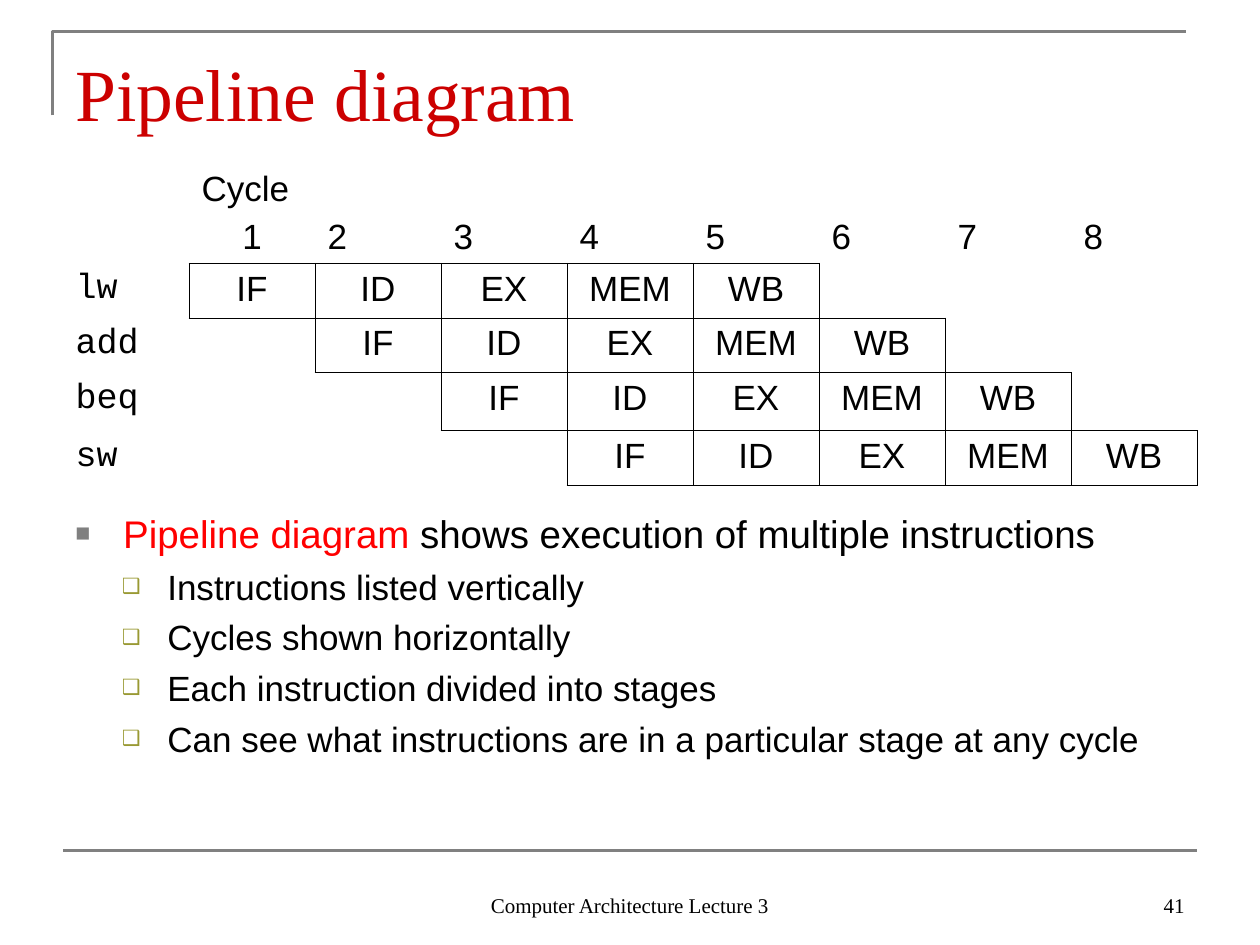
from dataclasses import dataclass
from typing import NamedTuple

from lxml import etree
from pptx import Presentation
from pptx import util as u
from pptx.dml.color import RGBColor
from pptx.enum import shapes, text
from pptx.oxml import ns


@dataclass(frozen=True)
class Theme:
    serif: str = "Times New Roman"
    sans: str = "Arial"
    mono: str = "Courier New"
    title: str = "CC0000"
    accent: str = "FF0000"
    ink: str = "000000"
    rule: str = "808080"
    sub_bullet: str = "999933"
    title_size: float = 42
    lead_size: float = 22
    body_size: float = 20
    footer_size: float = 12
    rule_width: float = 1.5
    border_width: float = 0.45


class Area(NamedTuple):
    """Left, top, width and height in grid units."""
    col: float
    row: float
    cols: float
    rows: float


class Bullet(NamedTuple):
    mark: str
    color: str
    percent: int
    left: float
    hanging: float


class Point(NamedTuple):
    bullet: Bullet
    runs: list[tuple[str, str]]
    size: float
    level: int = 0


THEME = Theme()
UNIT = u.Inches(10) // 120  # the slide is 120 columns by 90 rows
ALIGN = text.PP_ALIGN
ANCHOR = text.MSO_ANCHOR

STAGES = ["IF", "ID", "EX", "MEM", "WB"]
INSTRUCTIONS = ["lw", "add", "beq", "sw"]
CYCLES = len(STAGES) + len(INSTRUCTIONS) - 1
ROW_HEIGHTS = [0.84, 0.43, 0.43, 0.46, 0.43]
NO_STYLE = "{2D5ABB26-0587-4C30-8999-92F81FD0307C}"

LEAD = Bullet("■", THEME.rule, 65, 0.38, 0.38)
SUB = Bullet("❑", THEME.sub_bullet, 60, 0.73, 0.36)
POINTS = [Point(LEAD, [("Pipeline diagram", THEME.accent),
                       (" shows execution of multiple instructions", THEME.ink)],
                THEME.lead_size)]
POINTS += [Point(SUB, [(line, THEME.ink)], THEME.body_size, 1) for line in (
    "Instructions listed vertically",
    "Cycles shown horizontally",
    "Each instruction divided into stages",
    "Can see what instructions are in a particular stage at any cycle",
)]


def grid(value: float) -> int:
    return round(value * UNIT)


def write(paragraph, words: str, *, size: float = THEME.body_size,
          font: str = THEME.sans, color: str = THEME.ink,
          align=ALIGN.LEFT, before: float = 0) -> None:
    paragraph.alignment = align
    paragraph.space_before = u.Pt(before)
    run = paragraph.add_run()
    run.text = words
    run.font.size = u.Pt(size)
    run.font.name = font
    run.font.color.rgb = RGBColor.from_string(color)


def add_frame(slide, area: Area, anchor=ANCHOR.TOP):
    frame = slide.shapes.add_textbox(*map(grid, area)).text_frame
    frame.word_wrap = True
    frame.vertical_anchor = anchor
    return frame


def style_rule(rule) -> None:
    rule.line.color.rgb = RGBColor.from_string(THEME.rule)
    rule.line.width = u.Pt(THEME.rule_width)


def add_rules(slide) -> None:
    outline = slide.shapes.build_freeform(grid(5), grid(11))
    outline.add_line_segments([(grid(5), grid(3)), (grid(113), grid(3))], close=False)
    corner = outline.convert_to_shape()
    corner.fill.background()
    corner.shadow.inherit = False
    style_rule(corner)

    footer_rule = slide.shapes.add_connector(
        shapes.MSO_CONNECTOR.STRAIGHT, grid(6), grid(81), grid(114), grid(81))
    etree.SubElement(footer_rule._element.spPr, ns.qn("a:effectLst"))
    style_rule(footer_rule)


def add_borders(cell) -> None:
    properties = cell._tc.get_or_add_tcPr()
    for side in ("lnL", "lnR", "lnT", "lnB"):
        border = etree.SubElement(properties, ns.qn(f"a:{side}"),
                                  w=str(u.Pt(THEME.border_width)))
        fill = etree.SubElement(border, ns.qn("a:solidFill"))
        etree.SubElement(fill, ns.qn("a:srgbClr"), val=THEME.ink)


def add_pipeline(slide, area: Area) -> None:
    table = slide.shapes.add_table(len(ROW_HEIGHTS), CYCLES + 1, *map(grid, area)).table
    table.first_row = table.horz_banding = False
    table._tbl.tblPr.find(ns.qn("a:tableStyleId")).text = NO_STYLE
    for column in table.columns:
        column.width = grid(area.cols / (CYCLES + 1))
    for row, height in zip(table.rows, ROW_HEIGHTS):
        row.height = u.Inches(height)

    # Cycle numbers, the first one under its heading
    for cycle in range(1, CYCLES + 1):
        cell = table.cell(0, cycle)
        cell.vertical_anchor = ANCHOR.BOTTOM
        number = cell.text_frame.paragraphs[0]
        if cycle == 1:
            write(number, "Cycle")
            write(cell.text_frame.add_paragraph(), "1", align=ALIGN.CENTER, before=5)
        else:
            write(number, str(cycle))

    # Each instruction starts one cycle after the one above
    for row, instruction in enumerate(INSTRUCTIONS, start=1):
        write(table.cell(row, 0).text_frame.paragraphs[0], instruction, font=THEME.mono)
        for cycle, stage in enumerate(STAGES, start=row):
            cell = table.cell(row, cycle)
            write(cell.text_frame.paragraphs[0], stage, align=ALIGN.CENTER)
            add_borders(cell)

    for cell in table.iter_cells():
        cell.fill.background()


def set_bullet(paragraph, bullet: Bullet) -> None:
    properties = paragraph._p.get_or_add_pPr()
    properties.set("marL", str(u.Inches(bullet.left)))
    properties.set("indent", str(-u.Inches(bullet.hanging)))
    color = etree.SubElement(properties, ns.qn("a:buClr"))
    etree.SubElement(color, ns.qn("a:srgbClr"), val=bullet.color)
    etree.SubElement(properties, ns.qn("a:buSzPct"), val=str(bullet.percent * 1000))
    etree.SubElement(properties, ns.qn("a:buFont"), typeface=THEME.sans)
    etree.SubElement(properties, ns.qn("a:buChar"), char=bullet.mark)


def add_points(slide, area: Area) -> None:
    frame = add_frame(slide, area)
    for index, point in enumerate(POINTS):
        paragraph = frame.add_paragraph() if index else frame.paragraphs[0]
        paragraph.level = point.level
        set_bullet(paragraph, point.bullet)
        for words, color in point.runs:
            write(paragraph, words, size=point.size, color=color,
                  before=5 if index else 0)


def main() -> None:
    deck = Presentation()
    deck.slide_width, deck.slide_height = grid(120), grid(90)
    slide = deck.slides.add_slide(deck.slide_layouts[6])
    add_rules(slide)

    # Footer
    for words, area, align in (
        ("Computer Architecture Lecture 3", Area(41, 82, 38, 6), ALIGN.CENTER),
        ("41", Area(86, 82, 28, 6), ALIGN.RIGHT),
    ):
        write(add_frame(slide, area, ANCHOR.BOTTOM).paragraphs[0], words,
              size=THEME.footer_size, font=THEME.serif, align=align)

    # Title
    title = add_frame(slide, Area(6, 3.6, 108, 9.36), ANCHOR.BOTTOM)
    title.margin_bottom = 0
    write(title.paragraphs[0], "Pipeline diagram", size=THEME.title_size,
          font=THEME.serif, color=THEME.title)

    # Diagram and explanation
    add_pipeline(slide, Area(6, 15, 108, 31.08))
    add_points(slide, Area(6, 48, 108, 32.4))
    deck.save("out.pptx")


if __name__ == "__main__":
    main()
